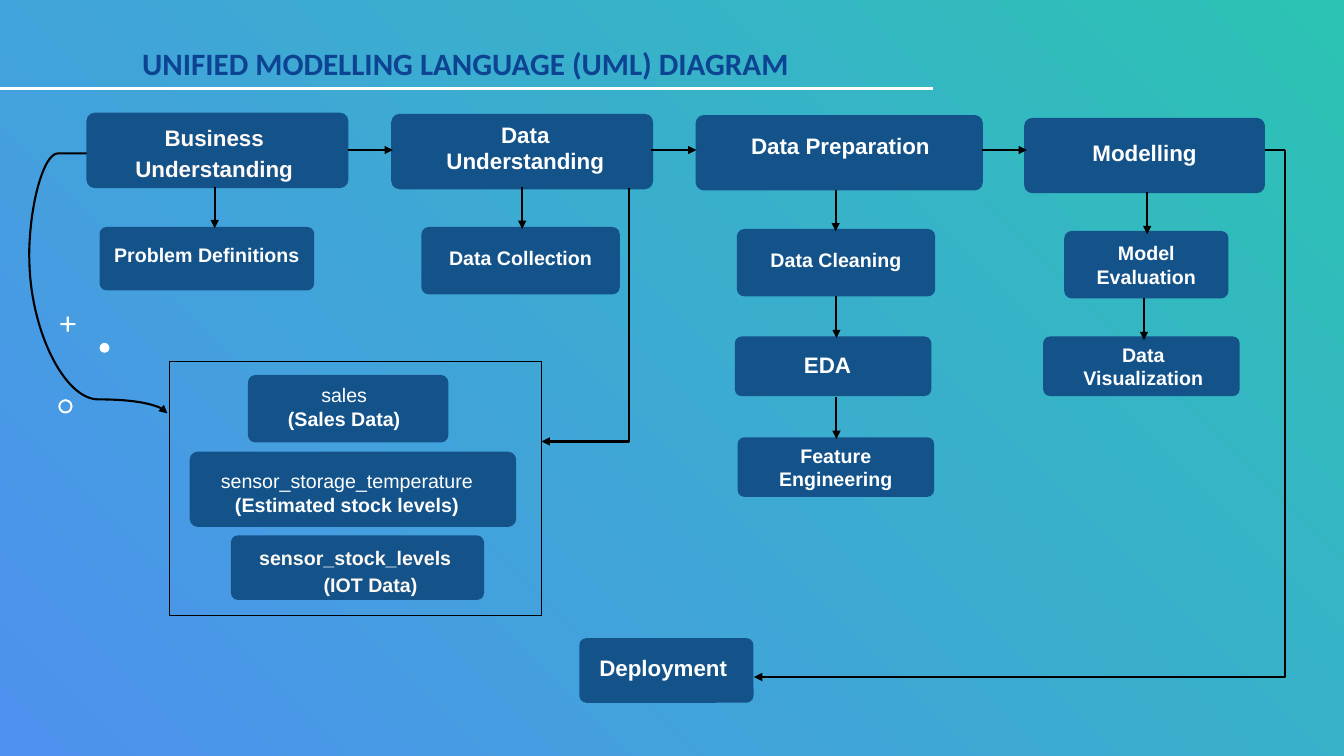
from dataclasses import dataclass

from lxml.etree import SubElement
from pptx import Presentation
from pptx.dml.color import RGBColor
from pptx.enum.shapes import MSO_CONNECTOR, MSO_SHAPE
from pptx.enum.text import MSO_ANCHOR, MSO_AUTO_SIZE, PP_ALIGN
from pptx.oxml.ns import qn
from pptx.util import Cm, Pt

HEX = {
    "blue": "4E91F0",
    "teal": "2CC3B4",
    "title": "0C4493",
    "box": "13538A",
    "white": "FFFFFF",
    "cream": "FFF9F5",
    "black": "000000",
}


@dataclass
class Box:
    lines: tuple[str, ...]
    left: float
    top: float
    width: float
    height: float
    size: int = 14
    dx: float = 0
    dy: float = 0
    pad: float = 0.5
    tint: str = "white"
    space: float = 1.0
    plain: bool = False
    lead: PP_ALIGN = PP_ALIGN.CENTER


@dataclass
class Bend:
    kind: MSO_CONNECTOR
    left: float
    top: float
    width: float
    height: float
    turn: int
    bias: float
    flip: str = ""
    head: bool = True


BOXES = [
    Box(("Business Understanding",), 2.18, 2.84, 6.6, 1.9, 16, -0.08, 0.02, 0.9, "cream", 1.15),
    Box(("Data Understanding",), 9.86, 2.87, 6.6, 1.9, 16, 0.08, -0.1, 1),
    Box(("Data Preparation",), 17.53, 2.9, 7.24, 1.9, 16, 0.03, -0.17),
    Box(("Modelling",), 25.81, 2.97, 6.07, 1.9, 16, 0, -0.08),
    Box(("Problem Definitions",), 2.51, 5.72, 5.41, 1.6, dy=-0.1, pad=0.2),
    Box(("Data Collection",), 10.62, 5.72, 5, 1.7, dy=-0.08),
    Box(("Data Cleaning",), 18.57, 5.77, 5, 1.7, dy=-0.08),
    Box(("Model Evaluation",), 26.82, 5.82, 4.14, 1.7),
    Box(("EDA",), 18.52, 8.48, 4.95, 1.5, 16, -0.14, -0.05),
    Box(("Data Visualization",), 26.29, 8.48, 4.95, 1.5, dx=0.05),
    Box(("Feature Engineering",), 18.59, 11.02, 4.95, 1.5),
    Box(("sales", "(Sales Data)"), 6.25, 9.45, 5.05, 1.7, dx=-0.1, dy=-0.05, plain=True),
    Box(("sensor_storage_temperature", "(Estimated stock levels)"),
        4.78, 11.38, 8.23, 1.9, dx=-0.15, dy=0.08, plain=True),
    Box(("sensor_stock_levels", "(IOT Data)"), 5.82, 13.49, 6.38, 1.63,
        dx=0.33, dy=0.05, pad=0.33, tint="cream", space=1.15, lead=PP_ALIGN.LEFT),
    Box(("Deployment",), 14.6, 16.08, 4.39, 1.63, 16, -0.08, -0.08, 0.3),
]

FLOW = 3.78
ACROSS = [8.76, 16.41, 24.74]
DOWN = [(5.41, 4.7), (13.16, 4.72), (21.06, 4.78), (28.91, 4.85),
        (21.08, 7.47), (21.08, 10.01), (28.83, 7.52)]
BENDS = [
    Bend(MSO_CONNECTOR.CURVE, 0.51, 6.71, 3.94, 3.48, 270, 0.91, "h"),
    Bend(MSO_CONNECTOR.CURVE, 0.15, 4.45, 2.62, 1.45, 90, 0, head=False),
    Bend(MSO_CONNECTOR.ELBOW, 11.56, 6.83, 6.38, 2.21, 90, 1),
    Bend(MSO_CONNECTOR.ELBOW, 19, FLOW, 13.39, 13.28, 180, 0, "v"),
]
MARKS = [
    (MSO_SHAPE.CROSS, 1.52, 7.98, 0.38, 0.43),
    (MSO_SHAPE.OVAL, 2.51, 8.64, 0.25, None),
    (MSO_SHAPE.DONUT, 1.47, 10.06, 0.36, 0.14),
]


def tone(name: str) -> RGBColor:
    return RGBColor.from_string(HEX[name])


def shape(kind: MSO_SHAPE, left: float, top: float, width: float, height: float,
          fill: str | None, edge: str | None = None):
    item = slide.shapes.add_shape(kind, Cm(left), Cm(top), Cm(width), Cm(height))
    item.shadow.inherit = False
    if fill:
        item.fill.solid()
        item.fill.fore_color.rgb = tone(fill)
    else:
        item.fill.background()
    if edge:
        item.line.color.rgb = tone(edge)
        item.line.width = Pt(0.75)
    else:
        item.line.fill.background()
    return item


def draw(box: Box) -> None:
    item = shape(MSO_SHAPE.ROUNDED_RECTANGLE, box.left, box.top, box.width, box.height, "box")
    item.adjustments[0] = 0.11
    frame = item.text_frame
    frame.word_wrap = True
    frame.vertical_anchor = MSO_ANCHOR.MIDDLE
    frame.margin_left, frame.margin_right = Cm(box.pad + box.dx), Cm(box.pad - box.dx)
    frame.margin_top, frame.margin_bottom = Cm(0.18 + box.dy), Cm(0.18 - box.dy)
    frame.text = "\n".join(box.lines)
    for rank, para in enumerate(frame.paragraphs):
        para.alignment = PP_ALIGN.CENTER if rank else box.lead
        para.line_spacing = box.space
        para.font.name = "Arial"
        para.font.size = Pt(box.size)
        para.font.bold = rank > 0 or not box.plain
        para.font.color.rgb = tone(box.tint)


def link(x: float, y: float, to_x: float, to_y: float, head: bool = True,
         kind: MSO_CONNECTOR = MSO_CONNECTOR.STRAIGHT, hue: str = "black", width: float = 1.5):
    line = slide.shapes.add_connector(kind, Cm(x), Cm(y), Cm(to_x), Cm(to_y))
    line.line.color.rgb = tone(hue)
    line.line.width = Pt(width)
    form = line._element.spPr
    if head:
        SubElement(form.find(qn("a:ln")), qn("a:tailEnd"), type="triangle")
    SubElement(form, qn("a:effectLst"))
    return form


def curve(bend: Bend) -> None:
    x, to_x = bend.left, bend.left + bend.width
    y, to_y = bend.top, bend.top + bend.height
    if bend.flip == "h":
        x, to_x = to_x, x
    if bend.flip == "v":
        y, to_y = to_y, y
    form = link(x, y, to_x, to_y, bend.head, bend.kind)
    form.find(qn("a:xfrm")).set("rot", str(bend.turn * 60000))
    guides = form.find(qn("a:prstGeom")).find(qn("a:avLst"))
    SubElement(guides, qn("a:gd"), name="adj1", fmla=f"val {round(bend.bias * 100000)}")


deck = Presentation()
deck.slide_width, deck.slide_height = Cm(33.87), Cm(19.05)
slide = deck.slides.add_slide(deck.slide_layouts[5])

back = slide.background.fill
back.gradient()
back.gradient_angle = 45
for stop, name in zip(back.gradient_stops, ("blue", "teal")):
    stop.color.rgb = tone(name)

title = slide.shapes.title
title.left, title.top, title.width, title.height = Cm(3.33), Cm(0.51), Cm(21.41), Cm(1.68)
title.text = "UNIFIED MODELLING LANGUAGE (UML) DIAGRAM"
title.text_frame.auto_size = MSO_AUTO_SIZE.NONE
title.text_frame.vertical_anchor = MSO_ANCHOR.BOTTOM
head = title.text_frame.paragraphs[0]
head.alignment = PP_ALIGN.LEFT
head.line_spacing = 0.9
head.space_after = Pt(6)
head.font.name = "Calibri"
head.font.size = Pt(22.2)
head.font.bold = True
head.font.color.rgb = tone("title")
link(0, 2.24, 23.5, 2.24, False, hue="white", width=2)

for kind, left, top, size, ratio in MARKS:
    mark = shape(kind, left, top, size, size, "white")
    if ratio:
        mark.adjustments[0] = ratio

for box in BOXES:
    draw(box)
shape(MSO_SHAPE.RECTANGLE, 4.27, 9.12, 9.37, 6.4, None, "black")

for x in ACROSS:
    link(x, FLOW, x + 1.14, FLOW)
for x, y in DOWN:
    link(x, y, x, y + 1.05)
for bend in BENDS:
    curve(bend)
link(31.88, FLOW, 32.39, FLOW, False)

deck.save("out.pptx")
